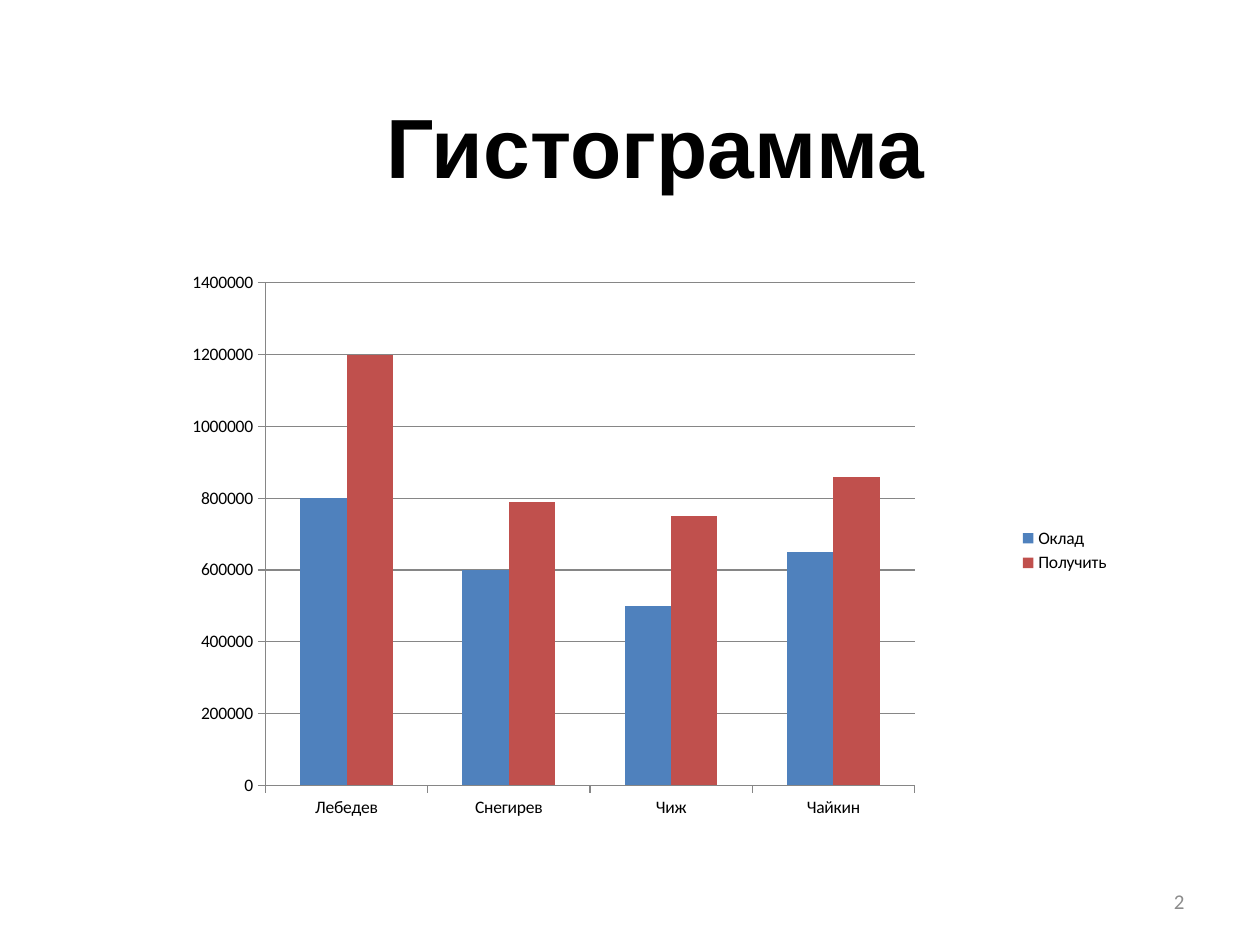
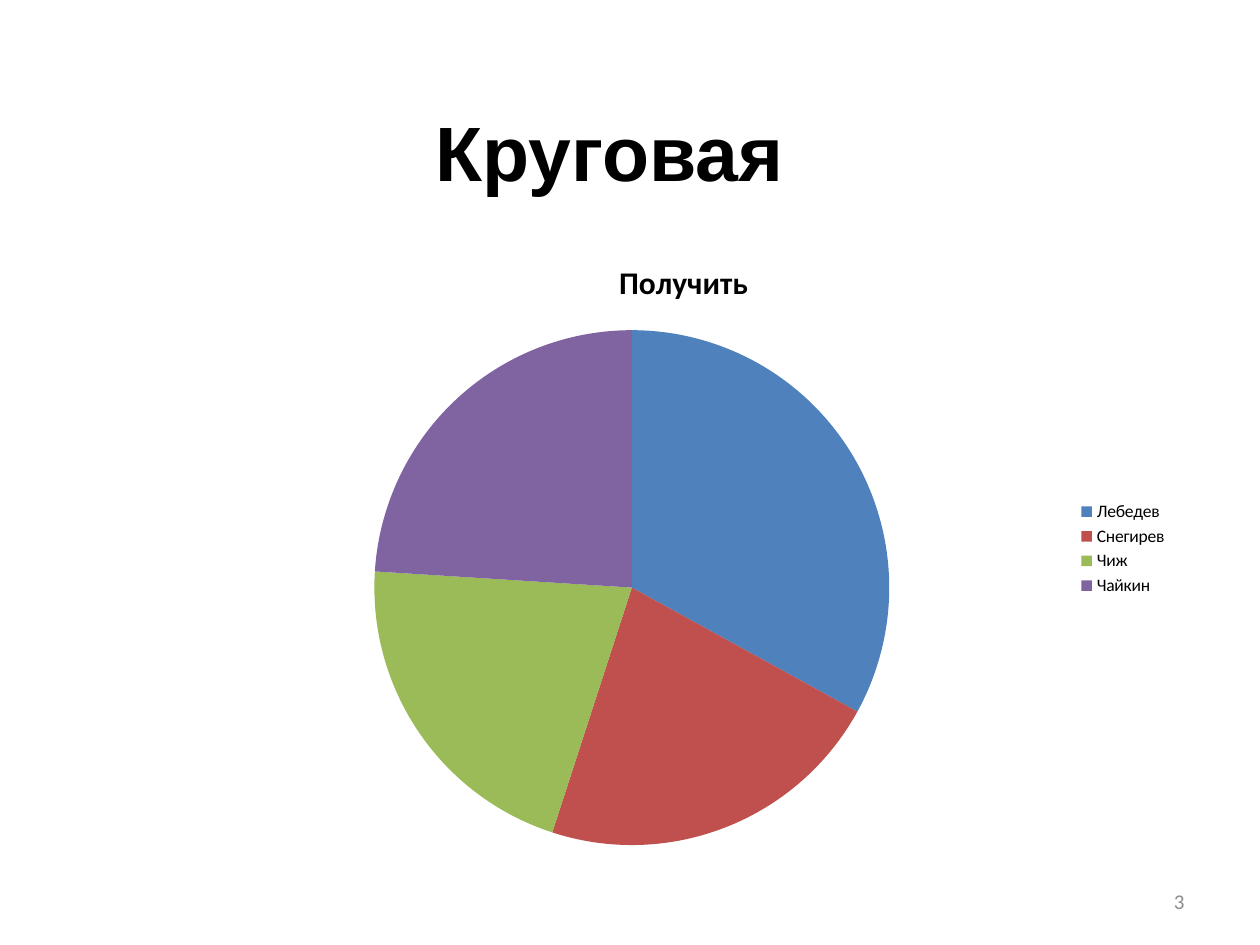
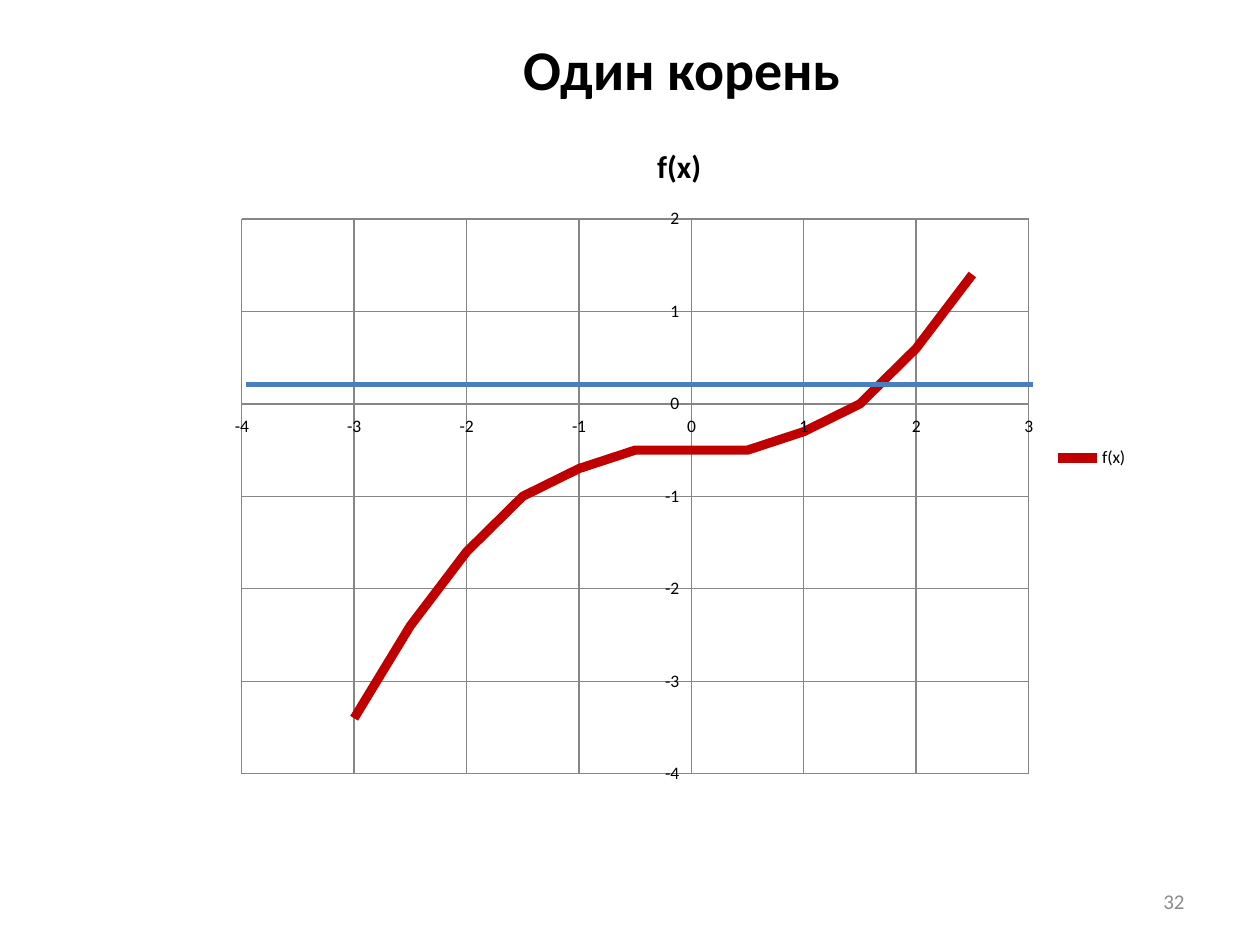
from lxml.etree import SubElement
from pptx import Presentation
from pptx.chart.data import CategoryChartData, XyChartData
from pptx.dml.color import RGBColor
from pptx.enum.chart import XL_CHART_TYPE, XL_LEGEND_POSITION, XL_TICK_MARK
from pptx.enum.shapes import MSO_CONNECTOR
from pptx.enum.text import MSO_ANCHOR, MSO_AUTO_SIZE, PP_ALIGN
from pptx.oxml.ns import qn
from pptx.util import Cm, Pt

BLACK = RGBColor(0x00, 0x00, 0x00)
NUMBER_GREY = RGBColor(0x8C, 0x8C, 0x8C)
GRID_GREY = RGBColor(0x86, 0x86, 0x86)
BLUE = RGBColor(0x4F, 0x81, 0xBD)
RED = RGBColor(0xC0, 0x50, 0x4D)
GREEN = RGBColor(0x9B, 0xBB, 0x59)
PURPLE = RGBColor(0x80, 0x64, 0xA2)
CURVE_RED = RGBColor(0xC0, 0x00, 0x00)
LEVEL_BLUE = RGBColor(0x4B, 0x7E, 0xBC)

BODY_FONT = "Calibri"
HEADING_FONT = "Arial"

EMPLOYEES = ["Лебедев", "Снегирев", "Чиж", "Чайкин"]
PAYROLL = [
    ("Оклад", [800000, 600000, 500000, 650000], BLUE),
    ("Получить", [1200000, 790000, 750000, 860000], RED),
]
SHARES = ("Получить", [33, 22, 21, 24])
SHARE_COLOURS = [BLUE, RED, GREEN, PURPLE]
CURVE_NAME = "f(x)"
CURVE_START, CURVE_STEP = -3, 0.5
CURVE_VALUES = [-3.4, -2.4, -1.6, -1, -0.7, -0.5, -0.5, -0.5, -0.3, 0, 0.6, 1.4]

# Boxes are left, top, width, height in centimetres.
NUMBER_BOX = (18.21, 17.65, 5.92, 1.02)
LEVEL_LEFT, LEVEL_RIGHT, LEVEL_Y = 4.95, 20.83, 7.75


def cm_box(box):
    return [Cm(length) for length in box]


def style_font(font, name, size, colour, bold=False):
    font.name = name
    font.size = Pt(size)
    font.bold = bold
    font.color.rgb = colour


def add_label(slide, text, box, font_style, wrap=True):
    """Add one line of text and return its frame."""
    frame = slide.shapes.add_textbox(*cm_box(box)).text_frame
    frame.word_wrap = wrap
    run = frame.paragraphs[0].add_run()
    run.text = text
    style_font(run.font, *font_style)
    return frame


def start_slide(deck, number, heading, box, font, size, wrap=False):
    """Add a blank slide with its heading and slide number."""
    slide = deck.slides.add_slide(deck.slide_layouts[6])
    frame = add_label(slide, heading, box, (font, size, BLACK, True), wrap)
    frame.auto_size = MSO_AUTO_SIZE.SHAPE_TO_FIT_TEXT
    footer = add_label(slide, str(number), NUMBER_BOX, (BODY_FONT, 12, NUMBER_GREY))
    footer.vertical_anchor = MSO_ANCHOR.MIDDLE
    footer.paragraphs[0].alignment = PP_ALIGN.RIGHT
    return slide


def place_plot(chart, fractions):
    """Fix the inner plot area as fractions of the chart's size."""
    plot_area = chart.element.find(".//" + qn("c:plotArea"))
    for automatic in plot_area.findall(qn("c:layout")):
        plot_area.remove(automatic)
    layout = plot_area.makeelement(qn("c:layout"))
    plot_area.insert(0, layout)
    manual = SubElement(layout, qn("c:manualLayout"))
    settings = [("layoutTarget", "inner"), ("xMode", "edge"), ("yMode", "edge")]
    settings += zip("xywh", fractions)
    for tag, value in settings:
        SubElement(manual, qn("c:" + tag)).set("val", str(value))


def add_styled_chart(slide, kind, box, data, plot_fractions, title=None):
    chart = slide.shapes.add_chart(kind, *cm_box(box), data).chart
    style_font(chart.font, BODY_FONT, 10, BLACK)
    chart.has_legend = True
    chart.legend.position = XL_LEGEND_POSITION.RIGHT
    chart.legend.include_in_layout = False
    chart.has_title = title is not None
    if title:
        run = chart.chart_title.text_frame.paragraphs[0].add_run()
        run.text = title
        style_font(run.font, BODY_FONT, 18, BLACK, True)
    place_plot(chart, plot_fractions)
    return chart


def style_axis(axis, scale=None, grid=True):
    """Set the grey lines and, if given, the (low, high, step) scale."""
    axis.major_tick_mark = XL_TICK_MARK.OUTSIDE
    axis.minor_tick_mark = XL_TICK_MARK.NONE
    axis.has_major_gridlines = grid
    lines = [axis.format.line]
    if grid:
        lines.append(axis.major_gridlines.format.line)
    for line in lines:
        line.color.rgb = GRID_GREY
        line.width = Pt(0.75)
    if scale:
        axis.minimum_scale, axis.maximum_scale, axis.major_unit = scale
        axis.tick_labels.number_format = "General"
        axis.tick_labels.number_format_is_linked = False


def build_histogram(deck):
    slide = start_slide(deck, 2, "Гистограмма", (7.54, 1.78, 13.89, 2.31),
                        HEADING_FONT, 48, wrap=True)
    data = CategoryChartData()
    data.categories = EMPLOYEES
    for name, amounts, _ in PAYROLL:
        data.add_series(name, amounts)
    chart = add_styled_chart(slide, XL_CHART_TYPE.COLUMN_CLUSTERED,
                             (2.18, 4.75, 20.45, 12.7), data,
                             (0.155, 0.075, 0.64, 0.798))
    style_axis(chart.category_axis, grid=False)
    style_axis(chart.value_axis, (0, 1400000, 200000))
    columns = chart.plots[0]
    columns.gap_width = 150
    columns.overlap = 0
    columns.vary_by_categories = False
    for series, (_, _, colour) in zip(columns.series, PAYROLL):
        series.format.fill.solid()
        series.format.fill.fore_color.rgb = colour


def build_pie(deck):
    slide = start_slide(deck, 3, "Круговая", (8.53, 1.98, 7.59, 2.13),
                        HEADING_FONT, 44)
    name, shares = SHARES
    data = CategoryChartData()
    data.categories = EMPLOYEES
    data.add_series(name, shares)
    chart = add_styled_chart(slide, XL_CHART_TYPE.PIE,
                             (3.76, 4.75, 20.04, 12.62), data,
                             (0.189, 0.151, 0.518, 0.823), name)
    pie = chart.plots[0]
    pie.vary_by_categories = True
    for index, colour in enumerate(SHARE_COLOURS):
        fill = pie.series[0].points[index].format.fill
        fill.solid()
        fill.fore_color.rgb = colour


def build_root_graph(deck):
    slide = start_slide(deck, 32, "Один корень", (10.31, 0.58, 6.99, 1.63),
                        BODY_FONT, 32)
    data = XyChartData()
    points = data.add_series(CURVE_NAME)
    for index, y in enumerate(CURVE_VALUES):
        points.add_data_point(CURVE_START + index * CURVE_STEP, y)
    chart = add_styled_chart(slide, XL_CHART_TYPE.XY_SCATTER_SMOOTH_NO_MARKERS,
                             (4.37, 2.39, 18.64, 13.69), data,
                             (0.027, 0.148, 0.851, 0.817), CURVE_NAME)
    style_axis(chart.category_axis, (-4, 3, 1))
    style_axis(chart.value_axis, (-4, 2, 1))
    chart.plots[0].vary_by_categories = False
    curve = chart.plots[0].series[0]
    curve.smooth = True
    curve.format.line.color.rgb = CURVE_RED
    curve.format.line.width = Pt(5.25)

    level = slide.shapes.add_connector(MSO_CONNECTOR.STRAIGHT, Cm(LEVEL_LEFT), Cm(LEVEL_Y),
                                       Cm(LEVEL_RIGHT), Cm(LEVEL_Y))
    level.line.color.rgb = LEVEL_BLUE
    level.line.width = Pt(3)
    SubElement(level.element.spPr, qn("a:effectLst"))


def main():
    deck = Presentation()
    deck.slide_width, deck.slide_height = Cm(25.4), Cm(19.05)
    build_histogram(deck)
    build_pie(deck)
    build_root_graph(deck)
    deck.save("out.pptx")


if __name__ == "__main__":
    main()
